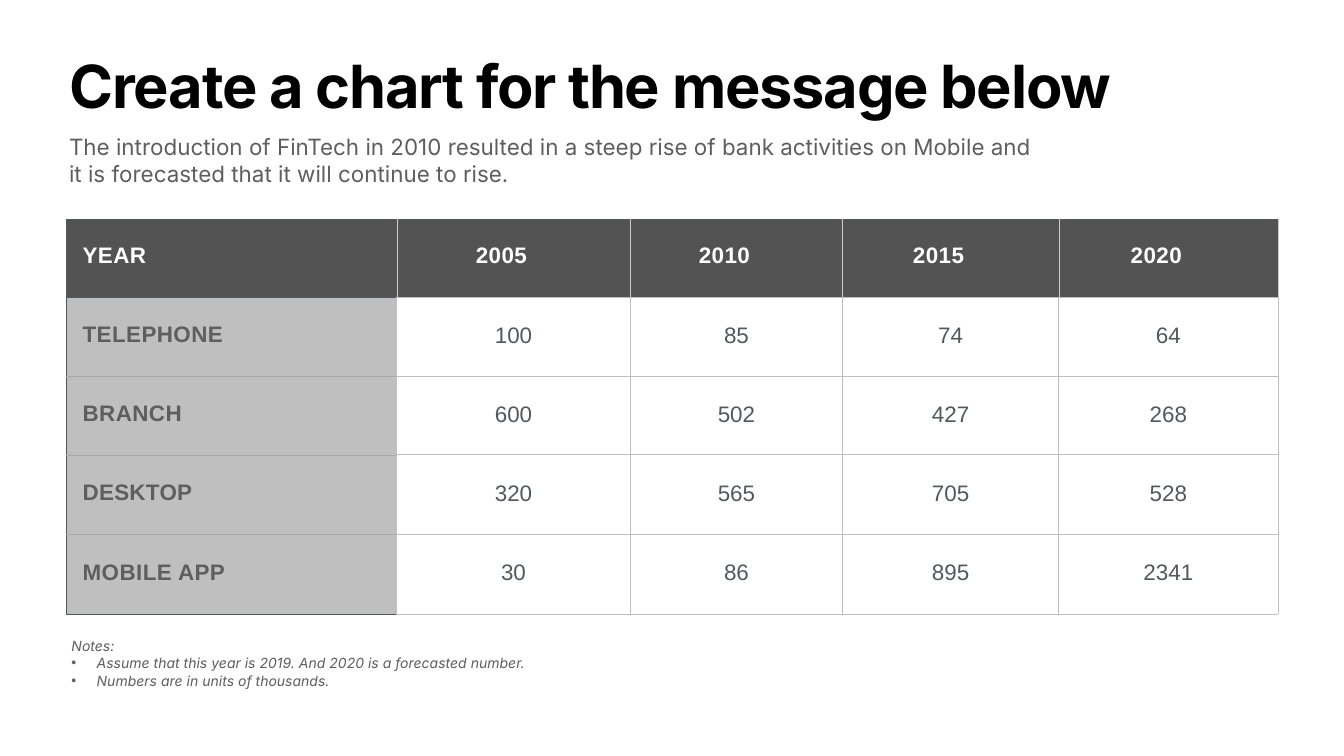
from lxml.etree import SubElement
from pptx import Presentation
from pptx.dml.color import RGBColor
from pptx.enum.text import MSO_ANCHOR, MSO_AUTO_SIZE, PP_ALIGN
from pptx.oxml.ns import qn
from pptx.util import Pt

PX = 9144
BLACK = RGBColor(0x00, 0x00, 0x00)
WHITE = RGBColor(0xFF, 0xFF, 0xFF)
CHARCOAL = RGBColor(0x53, 0x53, 0x53)
SLATE = RGBColor(0x53, 0x58, 0x5F)
GRAY = RGBColor(0x5E, 0x5E, 0x5E)
ASH = RGBColor(0xA6, 0xAA, 0xA9)
SILVER = RGBColor(0xBF, 0xBF, 0xBF)
PALE = RGBColor(0xCB, 0xCB, 0xCB)


def write_text(frame, text, size=32, font="Inter", color=GRAY, bold=False, italic=False,
               align=PP_ALIGN.LEFT, line=1.0, before=0, tracking=0, inset=None, indent=0):
    frame.word_wrap = True
    if inset is not None:
        frame.margin_left = frame.margin_right = inset * PX
        frame.margin_top = frame.margin_bottom = inset * PX
    frame.text = text
    for paragraph in frame.paragraphs:
        paragraph.alignment = align
        paragraph.line_spacing = line
        paragraph.space_before = Pt(before)
        if indent:
            paragraph._p.get_or_add_pPr().set("indent", str(indent * PX))
        for run in paragraph.runs:
            run.font.name = font
            run.font.size = Pt(size)
            run.font.bold = bold
            run.font.italic = italic
            run.font.color.rgb = color
            run.font._element.set("spc", str(tracking))


def draw_borders(cell, **sides):
    properties = cell._tc.get_or_add_tcPr()
    for side in "LRTB":
        color, width = sides[side]
        border = SubElement(properties, qn(f"a:ln{side}"), w=str(Pt(width)))
        fill = SubElement(border, qn("a:solidFill"))
        SubElement(fill, qn("a:srgbClr"), val=str(color))


deck = Presentation()
deck.slide_width = 2667 * PX
deck.slide_height = 1500 * PX
slide = deck.slides.add_slide(deck.slide_layouts[5])

title = slide.shapes.title
title.left, title.top, title.width, title.height = 132 * PX, 118 * PX, 2403 * PX, 157 * PX
title.text_frame.auto_size = MSO_AUTO_SIZE.NONE
title.text_frame.vertical_anchor = MSO_ANCHOR.TOP
write_text(title.text_frame, "Create a chart for the message below",
           size=85, color=BLACK, bold=True, line=0.8, tracking=-170, inset=6)

message = slide.shapes.add_textbox(132 * PX, 260 * PX, 1956 * PX, 175 * PX)
write_text(message.text_frame,
           "The introduction of FinTech in 2010 resulted in a steep rise of bank activities "
           "on Mobile and it is forecasted that it will continue to rise.", inset=5)

activities = [
    ["YEAR", "2005", "2010", "2015", "2020"],
    ["TELEPHONE", "100", "85", "74", "64"],
    ["BRANCH", "600", "502", "427", "268"],
    ["DESKTOP", "320", "565", "705", "528"],
    ["MOBILE APP", "30", "86", "895", "2341"],
]
column_widths = [655, 464, 421, 429, 435]
row_heights = [155, 158, 155, 158, 158]
last = len(activities) - 1
table = slide.shapes.add_table(len(row_heights), len(column_widths), 132 * PX, 434 * PX,
                               sum(column_widths) * PX, sum(row_heights) * PX).table
table.first_row = False
table.horz_banding = False
for column, width in zip(table.columns, column_widths):
    column.width = width * PX
for row, height in zip(table.rows, row_heights):
    row.height = height * PX

grid, dark, soft, light = (SILVER, 1), (SLATE, 0.25), (ASH, 0.25), (PALE, 0.25)
for r, values in enumerate(activities):
    for c, value in enumerate(values):
        cell = table.cell(r, c)
        is_header, is_label = r == 0, c == 0
        cell.vertical_anchor = MSO_ANCHOR.MIDDLE
        cell.margin_left = cell.margin_right = 7 * PX
        cell.margin_top = cell.margin_bottom = 0
        if is_header and not is_label:
            cell.margin_right = 55 * PX
        if is_header:
            draw_borders(cell, L=dark if is_label else light, R=light, T=dark,
                         B=dark if is_label else grid)
        elif is_label:
            draw_borders(cell, L=dark, R=grid, T=dark if r == 1 else soft,
                         B=dark if r == last else soft)
        else:
            draw_borders(cell, L=grid, R=grid, T=grid, B=grid)
        cell.fill.solid()
        cell.fill.fore_color.rgb = CHARCOAL if is_header else SILVER if is_label else WHITE
        heading = is_header or is_label
        write_text(cell.text_frame, value, font="Arial", bold=heading,
                   color=WHITE if is_header else GRAY if is_label else SLATE,
                   align=PP_ALIGN.LEFT if is_label else PP_ALIGN.CENTER,
                   line=0.8 if heading else 0.9,
                   tracking=(40 if value == "DESKTOP" else 60) if heading else 0,
                   indent=25 if is_label else 0)

notes = slide.shapes.add_textbox(132 * PX, 1259 * PX, 2175 * PX, 114 * PX)
write_text(notes.text_frame,
           "Notes:\nAssume that this year is 2019. And 2020 is a forecasted number.\n"
           "Numbers are in units of thousands.", size=20, italic=True, before=1)
for paragraph in notes.text_frame.paragraphs[1:]:
    properties = paragraph._p.get_or_add_pPr()
    properties.set("marL", str(50 * PX))
    properties.set("indent", str(-50 * PX))
    SubElement(properties, qn("a:buFont"), typeface="Arial")
    SubElement(properties, qn("a:buChar"), char="•")

deck.save("out.pptx")
